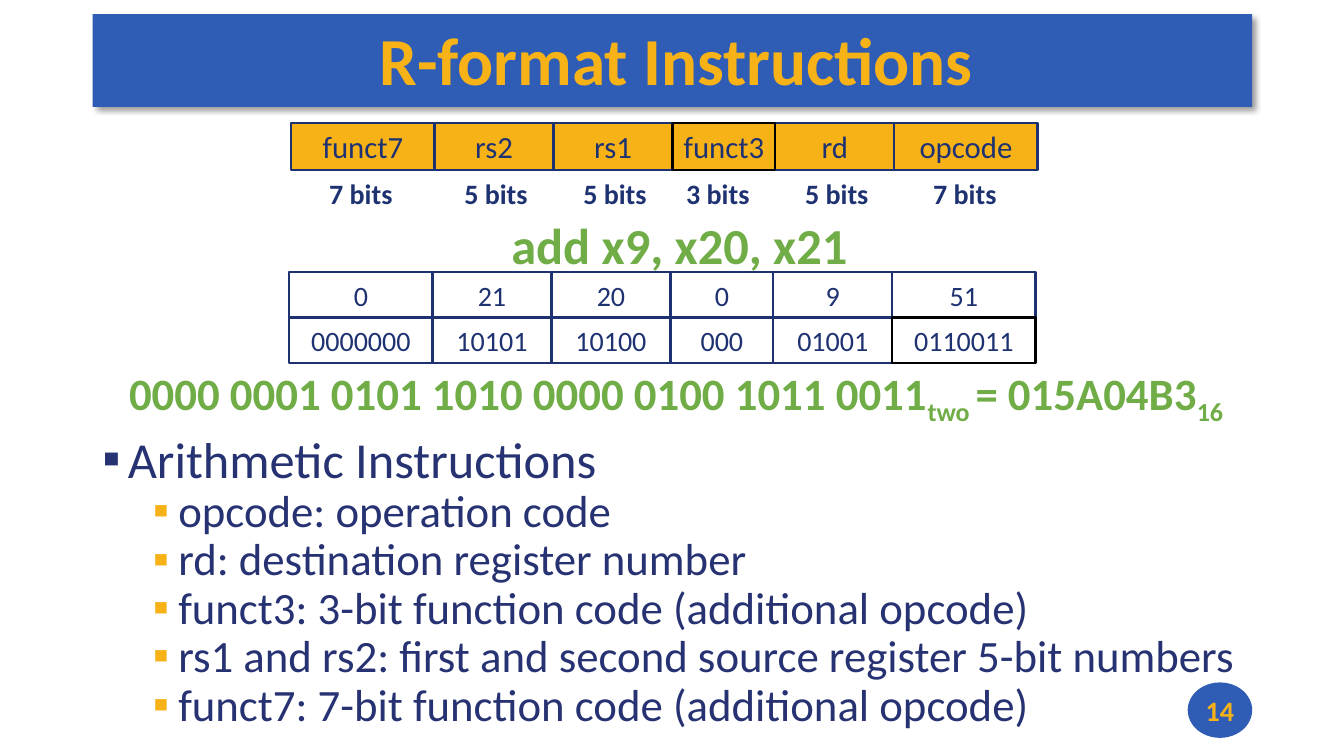
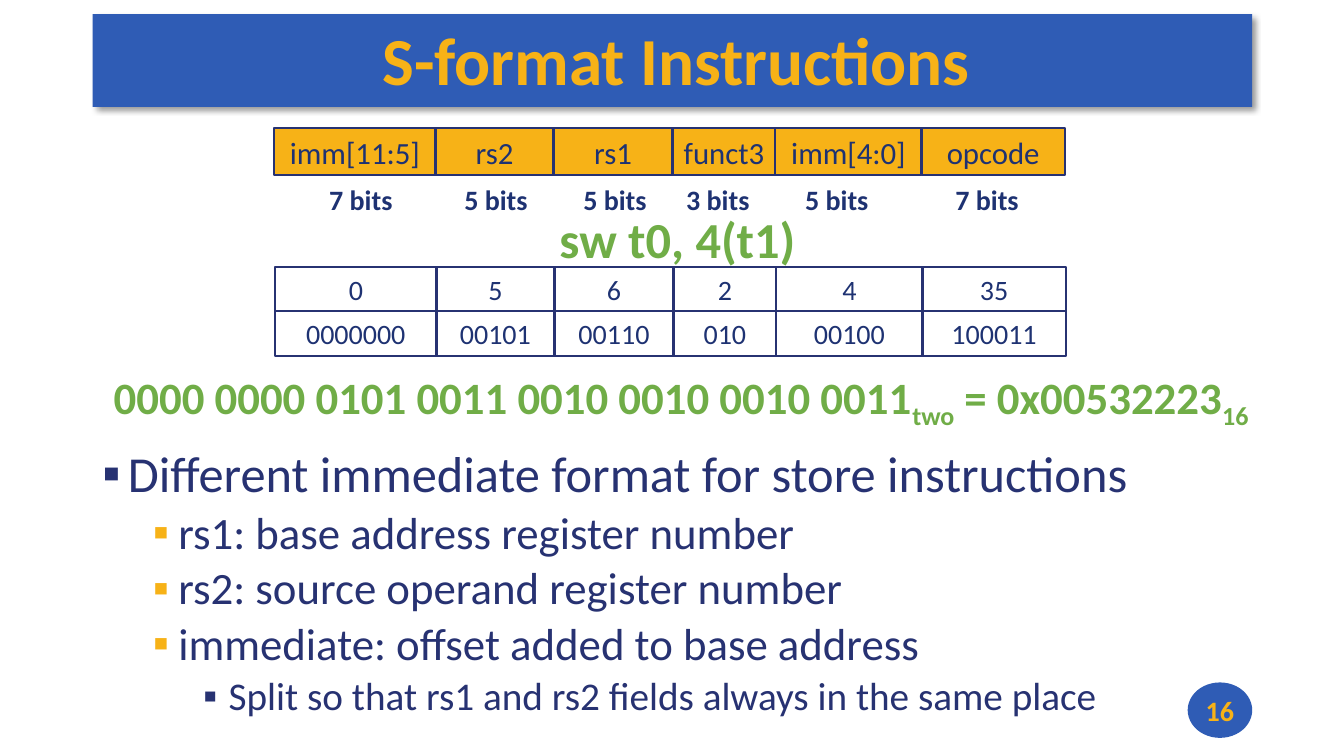
import pptx
import pptx.dml.color
import pptx.enum.shapes
import pptx.enum.text
import pptx.oxml
import pptx.oxml.ns
import pptx.util
from pptx.util import Inches

RGBColor = pptx.dml.color.RGBColor
Pt = pptx.util.Pt
PP_ALIGN = pptx.enum.text.PP_ALIGN
MSO_ANCHOR = pptx.enum.text.MSO_ANCHOR
MSO_SHAPE = pptx.enum.shapes.MSO_SHAPE

BLUE = RGBColor(0x2F, 0x5C, 0xB5)
GOLD = RGBColor(0xF7, 0xB2, 0x17)
NAVY = RGBColor(0x1E, 0x32, 0x72)
INDIGO = RGBColor(0x27, 0x32, 0x72)
GREEN = RGBColor(0x70, 0xAD, 0x47)
BLACK = RGBColor(0, 0, 0)

FONT = "Calibri"
BIT_LABELS = ["7 bits", "5 bits", "5 bits", "3 bits", "5 bits", "7 bits"]
BULLET_SIZES = [36, 32, 28]
BULLET_COLORS = [INDIGO, GOLD, INDIGO]

# Boxes are (left, top, width, height) in inches.
SLIDES = [
    {
        "title": "R-format Instructions",
        "number": "14",
        "outline": NAVY,
        "widths": [1.42, 1.18, 1.18, 1.02, 1.18, 1.42],
        "fields": ["funct7", "rs2", "rs1", "funct3", "rd", "opcode"],
        "fields_at": (2.89, 1.22),
        "label_centers": [3.58, 4.92, 6.1, 7.12, 8.3, 9.57],
        "labels_top": 1.7,
        "command": "add x9, x20, x21",
        "command_box": (3.74, 2.07, 6, 0.71),
        "values": [["0", "21", "20", "0", "9", "51"],
                   ["0000000", "10101", "10100", "000", "01001", "0110011"]],
        "values_at": (2.87, 2.7),
        "value_height": 0.45,
        "black_outlined": ["funct3", "0110011"],
        "machine_code": [("0000 0001 0101 1010 0000 0100 1011 0011", False), ("two ", True),
                         ("= 015A04B3", False), ("16", True)],
        "machine_code_box": (0.97, 3.58, 11.47, 0.63),
        "bullets": [
            (0, "Arithmetic Instructions"),
            (1, "opcode: operation code"),
            (1, "rd: destination register number"),
            (1, "funct3: 3-bit function code (additional opcode)"),
            (1, "rs1 and rs2: first and second source register 5-bit numbers"),
            (1, "funct7: 7-bit function code (additional opcode)"),
        ],
        "bullets_box": (0.92, 4.2, 11.7, 3.28),
        "heading_spacing": 1.0,
        "space_before": 0,
    },
    {
        "title": "S-format Instructions",
        "number": "16",
        "outline": INDIGO,
        "widths": [1.6, 1.17, 1.18, 1.02, 1.45, 1.42],
        "fields": ["imm[11:5]", "rs2", "rs1", "funct3", "imm[4:0]", "opcode"],
        "fields_at": (2.72, 1.27),
        "label_centers": [3.58, 4.92, 6.1, 7.12, 8.3, 9.79],
        "labels_top": 1.76,
        "command": "sw t0, 4(t1)",
        "command_box": (3.72, 2.02, 6, 0.71),
        "values": [["0", "5", "6", "2", "4", "35"],
                   ["0000000", "00101", "00110", "010", "00100", "100011"]],
        "values_at": (2.73, 2.65),
        "value_height": 0.44,
        "black_outlined": [],
        "machine_code": [("0000 0000 0101 0011 0010 0010 0010 0011", False), ("two", True),
                         (" = 0x00532223", False), ("16", True)],
        "machine_code_box": (0.89, 3.62, 11.73, 0.64),
        "bullets": [
            (0, "Different immediate format for store instructions"),
            (1, "rs1: base address register number"),
            (1, "rs2: source operand register number"),
            (1, "immediate: offset added to base address"),
            (2, "Split so that rs1 and rs2 fields always in the same place"),
        ],
        "bullets_box": (0.92, 4.41, 11.5, 2.86),
        "heading_spacing": 0.9,
        "space_before": 5,
    },
]


def write_text(paragraph, text, size, color, bold=False, align=PP_ALIGN.CENTER, subscript=False):
    paragraph.alignment = align
    run = paragraph.add_run()
    run.text = text
    run.font.name = FONT
    run.font.size = Pt(size)
    run.font.bold = bold
    run.font.color.rgb = color
    if subscript:
        run.font._element.set("baseline", "-25000")


def add_shape(slide, preset, box, fill=None, outline=None):
    shape = slide.shapes.add_shape(preset, *map(Inches, box))
    shape.shadow.inherit = False
    if fill is None:
        shape.fill.background()
    else:
        shape.fill.solid()
        shape.fill.fore_color.rgb = fill
    if outline is None:
        shape.line.fill.background()
    else:
        shape.line.color.rgb = outline
        shape.line.width = Pt(1.5)
    shape.text_frame.vertical_anchor = MSO_ANCHOR.MIDDLE
    shape.text_frame.word_wrap = False
    return shape


def add_text_box(slide, box, wrap=True):
    frame = slide.shapes.add_textbox(*map(Inches, box)).text_frame
    frame.word_wrap = wrap
    return frame


def add_drop_shadow(shape):
    effects = shape._element.spPr.find(pptx.oxml.ns.qn("a:effectLst"))
    effects.append(pptx.oxml.parse_xml(
        f'<a:outerShdw {pptx.oxml.ns.nsdecls("a")} blurRad="{Pt(4)}" dist="{Pt(3)}" '
        'dir="2700000" algn="tl" rotWithShape="0">'
        '<a:srgbClr val="000000"><a:alpha val="40000"/></a:srgbClr></a:outerShdw>'))


def add_title_and_number(slide, title, number):
    band = add_shape(slide, MSO_SHAPE.RECTANGLE, (0.92, 0.14, 11.5, 0.92), fill=BLUE)
    add_drop_shadow(band)
    frame = band.text_frame
    frame.margin_left, frame.margin_right = Inches(0.08), 0
    frame.margin_top, frame.margin_bottom = Inches(0.03), Inches(0.07)
    write_text(frame.paragraphs[0], title, 48, GOLD, bold=True)
    badge = add_shape(slide, MSO_SHAPE.OVAL, (11.78, 6.77, 0.64, 0.55), fill=BLUE)
    write_text(badge.text_frame.paragraphs[0], number, 20, GOLD, bold=True)


def add_cells(slide, content, rows, origin, height, size, fill=None):
    """Draw rows of adjoining boxes, the black-outlined ones on top."""
    left, top = origin
    widths = content["widths"]
    cells = [(text in content["black_outlined"], row, column, text)
             for row, texts in enumerate(rows) for column, text in enumerate(texts)]
    for black, row, column, text in sorted(cells):
        box = (left + sum(widths[:column]), top + row * height, widths[column], height)
        outline = BLACK if black else content["outline"]
        cell = add_shape(slide, MSO_SHAPE.RECTANGLE, box, fill, outline)
        write_text(cell.text_frame.paragraphs[0], text, size, NAVY)


def add_bit_labels(slide, centers, top):
    width = 0.83
    for label, center in zip(BIT_LABELS, centers):
        frame = add_text_box(slide, (center - width / 2, top, width, 0.44), wrap=False)
        write_text(frame.paragraphs[0], label, 20, NAVY, bold=True)


def set_bullet(paragraph, level):
    properties = paragraph._p.get_or_add_pPr()
    properties.set("lvl", str(level))
    properties.set("marL", str(Inches(0.25 + 0.5 * level)))
    properties.set("indent", str(Inches(-0.25)))
    namespace = pptx.oxml.ns.nsdecls("a")
    for xml in (
        f'<a:buClr {namespace}><a:srgbClr val="{BULLET_COLORS[level]}"/></a:buClr>',
        f'<a:buFont {namespace} typeface="{FONT}"/>',
        f'<a:buChar {namespace} char="▪"/>',
    ):
        properties.append(pptx.oxml.parse_xml(xml))


def add_bullets(slide, content):
    frame = add_text_box(slide, content["bullets_box"])
    for index, (level, text) in enumerate(content["bullets"]):
        paragraph = frame.add_paragraph() if index else frame.paragraphs[0]
        set_bullet(paragraph, level)
        paragraph.line_spacing = 0.9 if level else content["heading_spacing"]
        paragraph.space_before = Pt(content["space_before"] if index else 0)
        write_text(paragraph, text, BULLET_SIZES[level], INDIGO, align=PP_ALIGN.LEFT)


def build_slide(presentation, content):
    slide = presentation.slides.add_slide(presentation.slide_layouts[6])
    add_title_and_number(slide, content["title"], content["number"])
    add_bullets(slide, content)
    add_cells(slide, content, [content["fields"]], content["fields_at"], 0.47, 22, GOLD)
    add_bit_labels(slide, content["label_centers"], content["labels_top"])
    command = add_text_box(slide, content["command_box"])
    write_text(command.paragraphs[0], content["command"], 36, GREEN, bold=True)
    add_cells(slide, content, content["values"], content["values_at"],
              content["value_height"], 20)
    machine_code = add_text_box(slide, content["machine_code_box"])
    for text, subscript in content["machine_code"]:
        write_text(machine_code.paragraphs[0], text, 32, GREEN, bold=True, subscript=subscript)


def main():
    presentation = pptx.Presentation()
    presentation.slide_width = Inches(13.33)
    presentation.slide_height = Inches(7.5)
    for content in SLIDES:
        build_slide(presentation, content)
    presentation.save("out.pptx")


if __name__ == "__main__":
    main()
